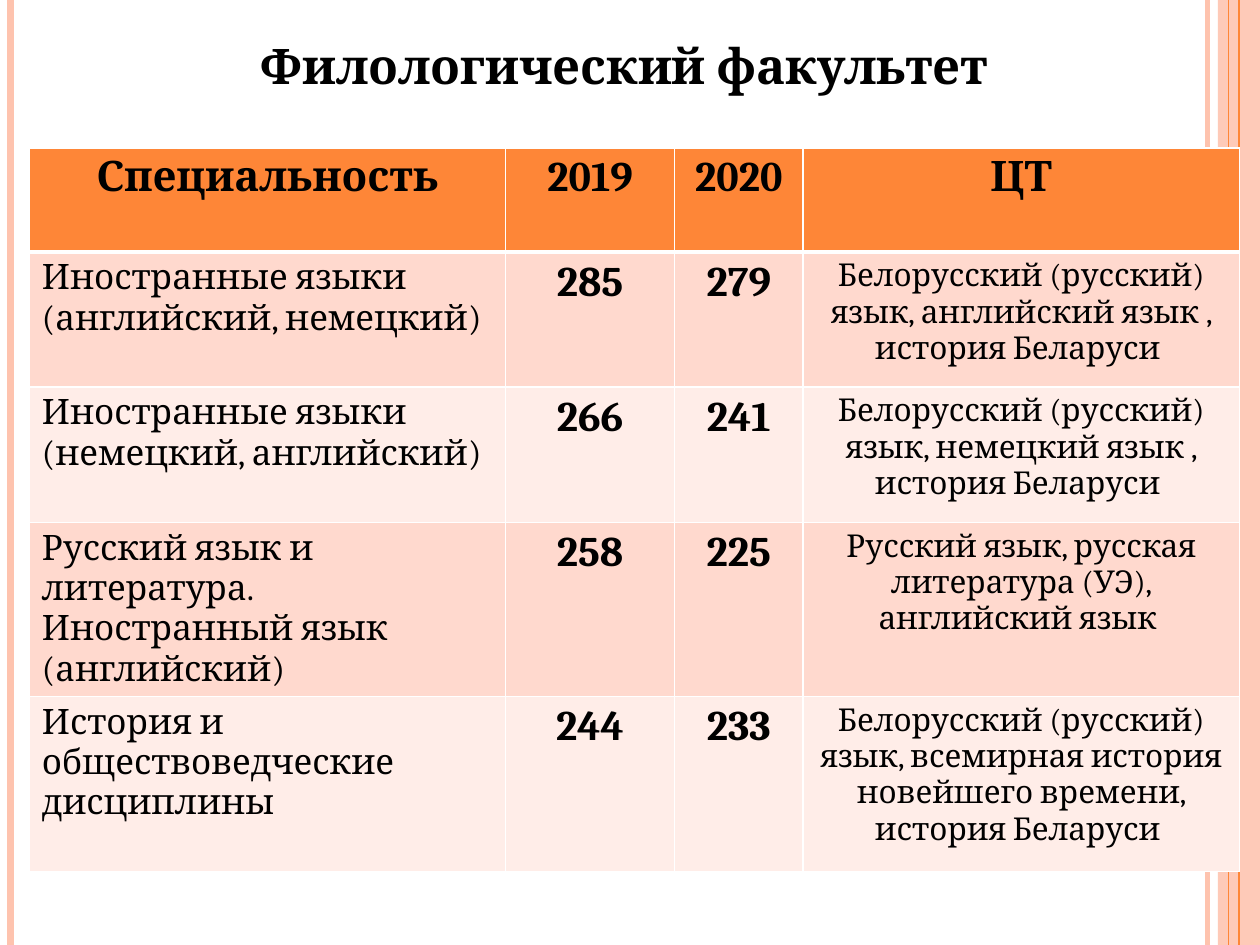
from lxml import etree
from pptx import Presentation
from pptx.dml.color import RGBColor
from pptx.enum.shapes import MSO_CONNECTOR, MSO_SHAPE
from pptx.enum.text import MSO_ANCHOR, MSO_AUTO_SIZE, PP_ALIGN
from pptx.oxml.ns import qn
from pptx.util import Pt

ORANGE = RGBColor(0xFE, 0x86, 0x37)
PEACH = RGBColor(0xFE, 0xC3, 0xAE)
BAND_DARK = RGBColor(0xFF, 0xD9, 0xCE)
BAND_LIGHT = RGBColor(0xFF, 0xED, 0xE8)
BLACK = RGBColor(0, 0, 0)
FONT = "Cambria"
SLIDE_WIDTH, SLIDE_HEIGHT = 720, 540


def add_text(paragraph, text, size, bold, alignment):
    paragraph.alignment = alignment
    run = paragraph.add_run()
    run.text = text
    run.font.name = FONT
    run.font.size = Pt(size)
    run.font.bold = bold
    run.font.color.rgb = BLACK


def set_border(cell, side, width):
    line = etree.SubElement(cell._tc.get_or_add_tcPr(), qn(f"a:{side}"), w=str(Pt(width)))
    fill = etree.SubElement(line, qn("a:solidFill"))
    etree.SubElement(fill, qn("a:srgbClr"), val="FFFFFF")


presentation = Presentation()
presentation.slide_width = Pt(SLIDE_WIDTH)
presentation.slide_height = Pt(SLIDE_HEIGHT)
slide = presentation.slides.add_slide(presentation.slide_layouts[5])

# Translucent band at the right edge
band = slide.shapes.add_shape(
    MSO_SHAPE.RECTANGLE, Pt(696), Pt(0), Pt(24), Pt(SLIDE_HEIGHT))
band.shadow.inherit = False
band.fill.solid()
band.fill.fore_color.rgb = PEACH
band.line.fill.background()
band_color = band._element.spPr.find(f".//{qn('a:srgbClr')}")
etree.SubElement(band_color, qn("a:alpha"), val="87000")

# Vertical stripes: position, width, colour
for x, width, color in [(690, 3, PEACH), (6, 4.5, PEACH),
                        (708, 1.5, ORANGE), (702, 0.75, ORANGE)]:
    stripe = slide.shapes.add_connector(
        MSO_CONNECTOR.STRAIGHT, Pt(x), Pt(0), Pt(x), Pt(SLIDE_HEIGHT))
    stripe.line.width = Pt(width)
    stripe.line.color.rgb = color
    etree.SubElement(stripe._element.spPr, qn("a:effectLst"))

# Title
title = slide.shapes.title
title.left, title.top, title.width, title.height = Pt(56), Pt(16.5), Pt(602), Pt(41)
title.text_frame.auto_size = MSO_AUTO_SIZE.NONE
title.text_frame.vertical_anchor = MSO_ANCHOR.MIDDLE
add_text(title.text_frame.paragraphs[0], "Филологический факультет",
         28, True, PP_ALIGN.CENTER)

# Table of passing scores
rows = [
    ("Специальность", "2019", "2020", "ЦТ"),
    ("Иностранные языки (английский, немецкий)", "285", "279",
     "Белорусский (русский) язык, английский язык , история Беларуси "),
    ("Иностранные языки (немецкий, английский)", "266", "241",
     "Белорусский (русский) язык, немецкий язык , история Беларуси "),
    ("Русский язык и литература. Иностранный язык (английский)", "258", "225",
     "Русский язык, русская литература (УЭ), английский язык "),
    ("История и обществоведческие дисциплины", "244", "233",
     "Белорусский (русский) язык, всемирная история новейшего времени, "
     "история Беларуси "),
]
column_widths = [272.2, 96.5, 73.5, 249.3]
row_heights = [59.5, 77.25, 77.25, 99.5, 100]
table = slide.shapes.add_table(
    len(rows), len(column_widths), Pt(16.75), Pt(84.5),
    Pt(sum(column_widths)), Pt(sum(row_heights))).table
for column, width in zip(table.columns, column_widths):
    column.width = Pt(width)
for row, height in zip(table.rows, row_heights):
    row.height = Pt(height)

# Body columns: text size, bold, alignment
body_styles = [(20, False, PP_ALIGN.LEFT), (24, True, PP_ALIGN.CENTER),
               (24, True, PP_ALIGN.CENTER), (18, False, PP_ALIGN.CENTER)]
header_style = (24, True, PP_ALIGN.CENTER)

for row_index, texts in enumerate(rows):
    is_header = row_index == 0
    row_color = ORANGE if is_header else (BAND_LIGHT, BAND_DARK)[row_index % 2]
    for column_index, text in enumerate(texts):
        cell = table.cell(row_index, column_index)
        style = header_style if is_header else body_styles[column_index]
        add_text(cell.text_frame.paragraphs[0], text, *style)
        for side, width in [("lnL", 1), ("lnR", 1),
                            ("lnT", 3 if row_index == 1 else 1),
                            ("lnB", 3 if is_header else 1)]:
            set_border(cell, side, width)
        cell.fill.solid()
        cell.fill.fore_color.rgb = row_color

presentation.save("out.pptx")
